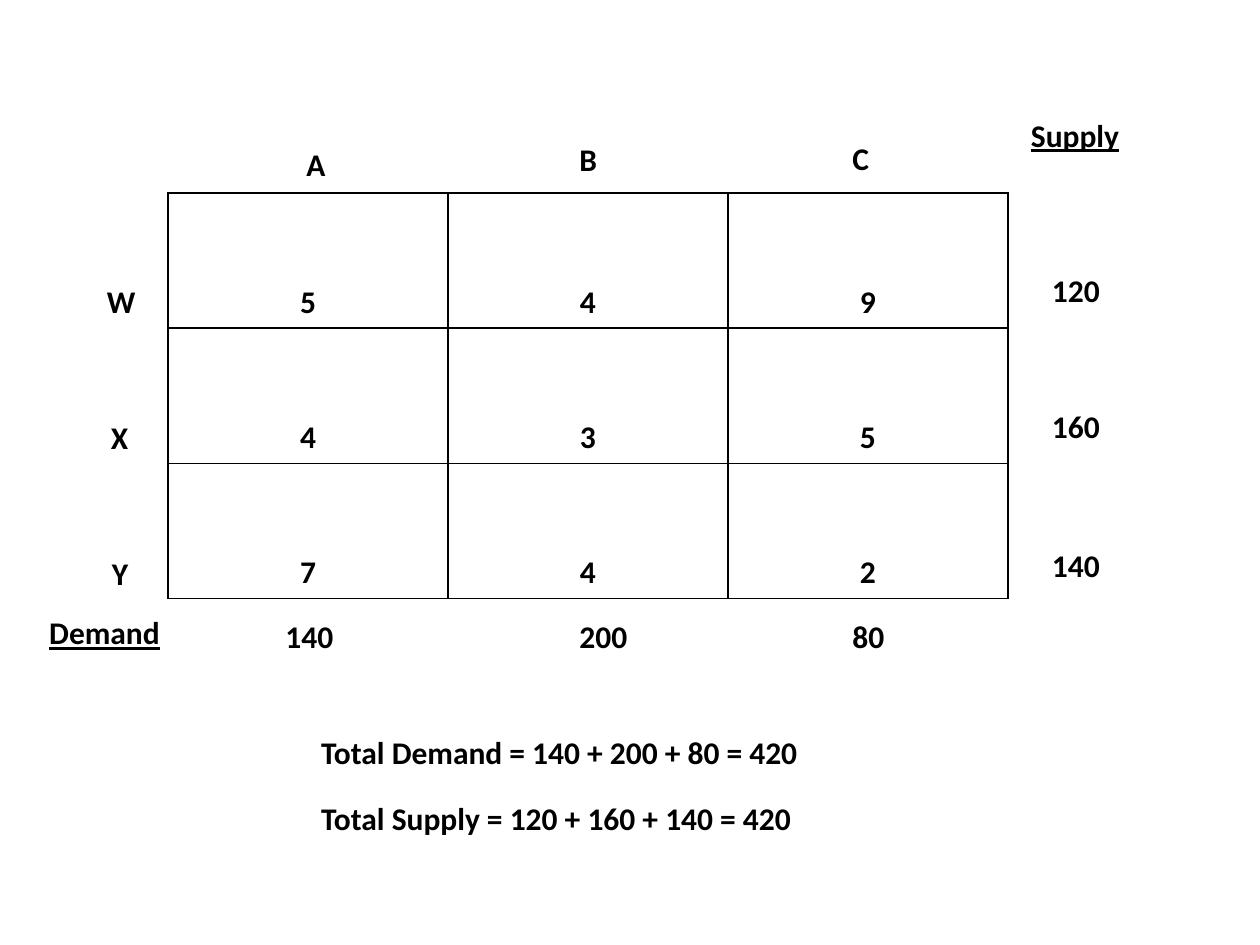
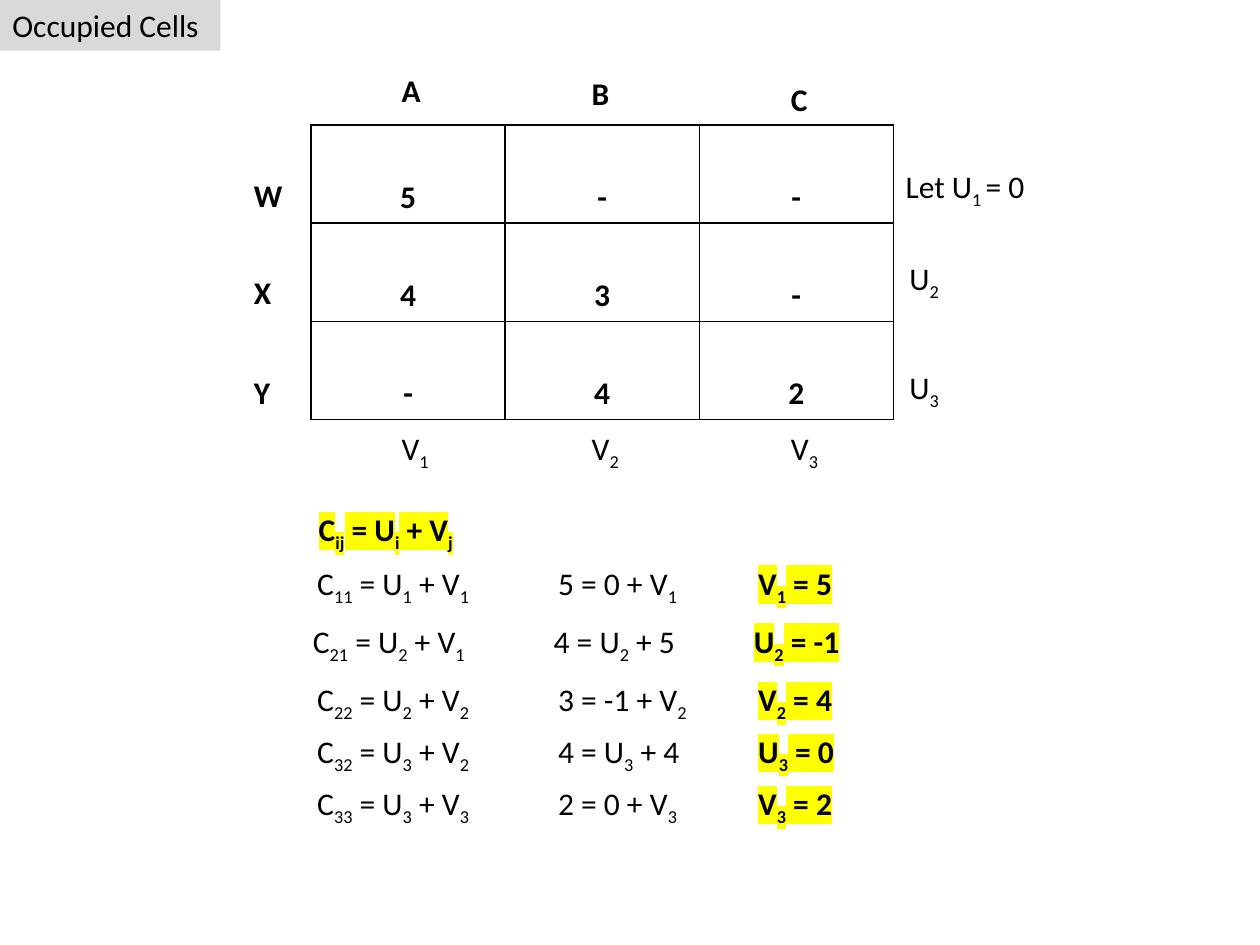
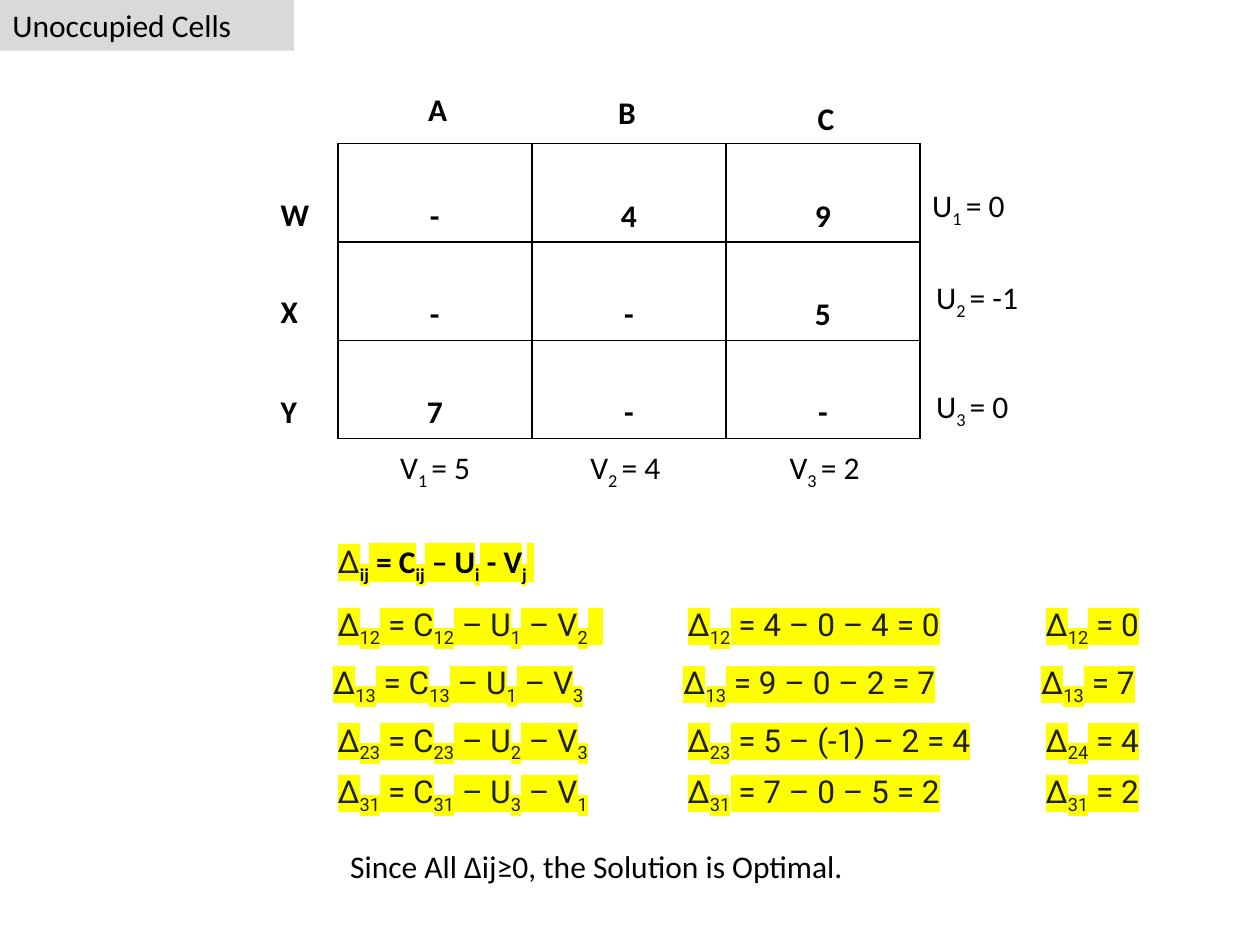
from lxml.etree import SubElement
from pptx import Presentation
from pptx.dml.color import RGBColor
from pptx.enum.shapes import MSO_SHAPE
from pptx.enum.text import MSO_ANCHOR, MSO_AUTO_SIZE, PP_ALIGN
from pptx.oxml.ns import qn
from pptx.util import Pt

BLACK, DARK, GREY, YELLOW = "000000", "1F1F1F", "D9D9D9", "FFFF00"
BODY, SYMBOL = "Calibri", "Roboto"
SIZE, LINE_H = 18, 29
BOLD = {"bold": True}
BOLD_MARKED = {"bold": True, "mark": YELLOW}
DELTA = {"font": SYMBOL, "color": DARK, "mark": YELLOW}

prs = Presentation()
prs.slide_width, prs.slide_height = Pt(720), Pt(540)
blank = prs.slide_layouts[6]


def add_text(s, x, y, w, text, bold=False, underline=False, font=BODY,
             color=BLACK, mark=None, fill=None):
    """Add one line of text; [brackets] enclose a subscript."""
    if fill:
        sp = s.shapes.add_shape(MSO_SHAPE.RECTANGLE, Pt(x), Pt(y), Pt(w), Pt(LINE_H))
        sp.shadow.inherit = False
        sp.fill.solid()
        sp.fill.fore_color.rgb = RGBColor.from_string(fill)
        sp.line.fill.background()
    else:
        sp = s.shapes.add_textbox(Pt(x), Pt(y), Pt(w), Pt(LINE_H))
    tf = sp.text_frame
    tf.word_wrap = True
    tf.auto_size = MSO_AUTO_SIZE.SHAPE_TO_FIT_TEXT
    tf.vertical_anchor = MSO_ANCHOR.TOP
    p = tf.paragraphs[0]
    p.alignment = PP_ALIGN.LEFT
    for i, part in enumerate(text.replace("]", "[").split("[")):
        if not part:
            continue
        r = p.add_run()
        r.text = part
        r.font.size, r.font.name = Pt(SIZE), font
        r.font.bold, r.font.underline = bold, underline
        r.font.color.rgb = RGBColor.from_string(color)
        rPr = r._r.get_or_add_rPr()
        if i % 2:
            rPr.set("baseline", "-25000")
        if mark:
            highlight = SubElement(rPr, qn("a:highlight"))
            SubElement(highlight, qn("a:srgbClr"), val=mark)
            rPr.find(qn("a:solidFill")).addnext(highlight)
    return p


def add_grid(s, x, y, col_w, row_h, rows):
    """Add a bordered cost table, one string of cell values per row."""
    n = len(rows)
    table = s.shapes.add_table(n, n, Pt(x), Pt(y), Pt(n * col_w), Pt(n * row_h)).table
    table.first_row = table.horz_banding = False
    for i, row in enumerate(rows):
        table.rows[i].height = Pt(row_h)
        table.columns[i].width = Pt(col_w)
        for j, value in enumerate(row):
            cell = table.cell(i, j)
            cell.vertical_anchor = MSO_ANCHOR.BOTTOM
            p = cell.text_frame.paragraphs[0]
            p.alignment = PP_ALIGN.CENTER
            r = p.add_run()
            r.text = value
            r.font.size, r.font.name, r.font.bold = Pt(SIZE), BODY, True
            r.font.color.rgb = RGBColor.from_string(BLACK)
            tcPr = cell._tc.get_or_add_tcPr()
            for side in ("a:lnL", "a:lnR", "a:lnT", "a:lnB"):
                ln = SubElement(tcPr, qn(side), w=str(Pt(1)))
                SubElement(SubElement(ln, qn("a:solidFill")), qn("a:srgbClr"), val=BLACK)
            cell.fill.background()


# Slide 1: the transportation problem
s = prs.slides.add_slide(blank)
add_grid(s, 96, 110.2, 160, 77.3, ["549", "435", "742"])
for name, x, y in [("W", 54, 157.7), ("X", 56.2, 235.4), ("Y", 56.9, 313.2),
                   ("A", 168, 79.2), ("B", 324, 76.3), ("C", 480, 75.6)]:
    add_text(s, x, y, 54, name, **BOLD)
for supply, y in [("120", 151.2), ("160", 229), ("140", 308.2)]:
    add_text(s, 594, y, 48, supply, **BOLD)
for demand, x in [("140", 156), ("200", 324), ("80", 480)]:
    add_text(s, x, 349.2, 48, demand, **BOLD)
for heading, x, y in [("Supply", 582, 62.6), ("Demand", 21, 347)]:
    add_text(s, x, y, 90, heading, underline=True, **BOLD)
for total, y in [("Total Demand = 140 + 200 + 80 = 420", 415.4),
                 ("Total Supply = 120 + 160 + 140 = 420", 452.9)]:
    add_text(s, 176.4, y, 390, total, **BOLD)

# Slides 2 and 3: occupied and unoccupied cells
cell_slides = [
    {
        "title": "Occupied Cells", "title_w": 126,
        "grid": (177.8, 71.3), "costs": ["5--", "43-", "-42"],
        "u": ["Let U[1 ]= 0", "U[2]", "U[3]"],
        "v": ["V[1]", "V[2]", "V[3]"], "v_shift": 0,
        "rule": ("C[ij] = U[i] + V[j]", 175, 288, 96),
        "columns": [(174.2, 132, {}), (311.8, 90, {}), (426.2, 90, BOLD_MARKED)],
        "line_y": [318.6, 351.7, 385.2, 414.7, 444.6],
        "lines": [
            ("C[11] = U[1] + V[1]", "5 = 0 + V[1]", "V[1] = 5"),
            ("C[21] = U[2] + V[1]", "4 = U[2] + 5", "U[2] = -1"),
            ("C[22] = U[2] + V[2]", "3 = -1 + V[2]", "V[2] = 4"),
            ("C[32] = U[3] + V[2]", "4 = U[3] + 4", "U[3] = 0"),
            ("C[33] = U[3] + V[3]", "2 = 0 + V[3]", "V[3] = 2"),
        ],
    },
    {
        "title": "Unoccupied Cells", "title_w": 168,
        "grid": (193, 82.1), "costs": ["-49", "--5", "7--"],
        "u": ["U[1 ]= 0", "U[2 ]= -1", "U[3 ]= 0"],
        "v": ["V[1 ]= 5", "V[2 ]= 4", "V[3 ]= 2"], "v_shift": -16,
        "rule": ("Δ[ij] = C[ij] – U[i] - V[j] ", 185.8, 306, 456),
        "columns": [(185.8, 224, DELTA), (385.9, 178, DELTA), (590.4, 84, DELTA)],
        "line_y": [342.4, 375.5, 408.2, 437.8],
        "lines": [
            ("Δ[12] = C[12] – U[1] – V[2]  ", "Δ[12] = 4 – 0 – 4 = 0", "Δ[12] = 0"),
            ("Δ[13] = C[13] – U[1] – V[3]", "Δ[13] = 9 – 0 – 2 = 7", "Δ[13] = 7"),
            ("Δ[23] = C[23] – U[2] – V[3]", "Δ[23] = 5 – (-1) – 2 = 4", "Δ[24] = 4"),
            ("Δ[31] = C[31] – U[3] – V[1]", "Δ[31] = 7 – 0 – 5 = 2", "Δ[31] = 2"),
        ],
    },
]

for d in cell_slides:
    s = prs.slides.add_slide(blank)
    add_text(s, 0, 0, d["title_w"], d["title"], fill=GREY)

    # Cost table with its row and column labels
    x, y = d["grid"]
    add_grid(s, x, y, 110.9, 56.2, d["costs"])
    for name, dy in zip("WXY", (25.9, 81.4, 138.2)):
        add_text(s, x - 39.8, y + dy, 54, name, **BOLD)
    for name, dx, dy in zip("ABC", (44.6, 153.2, 267.1), (-34.2, -32.4, -29.2)):
        add_text(s, x + dx, y + dy, 54, name, **BOLD)

    # Potentials of rows and columns
    for u, dx, dy in zip(d["u"], (332.6, 334.8, 334.8), (20.5, 73.4, 135.4)):
        add_text(s, x + dx, y + dy, 104, u)
    for v, dx in zip(d["v"], (44.6, 153.2, 267.1)):
        add_text(s, x + dx + d["v_shift"], y + 170.3, 65, v)

    # General rule, with the Greek letter in its own font
    rule, rule_x, rule_y, rule_w = d["rule"]
    p = add_text(s, rule_x, rule_y, rule_w, rule, **BOLD_MARKED)
    r = p.runs[0]
    if r.text == "Δ":
        r.font.name, r.font.bold = SYMBOL, False
        r.font.color.rgb = RGBColor.from_string(DARK)

    # Worked lines; the second one sits slightly to the left
    for i, (line_y, line) in enumerate(zip(d["line_y"], d["lines"])):
        shift = -2.5 if i == 1 else 0
        for (col_x, col_w, style), text in zip(d["columns"], line):
            add_text(s, col_x + shift, line_y, col_w, text, **style)

# Conclusion on the last slide
add_text(s, 193, 480.2, 455, "Since All Δij≥0, the Solution is Optimal.")

prs.save("out.pptx")
